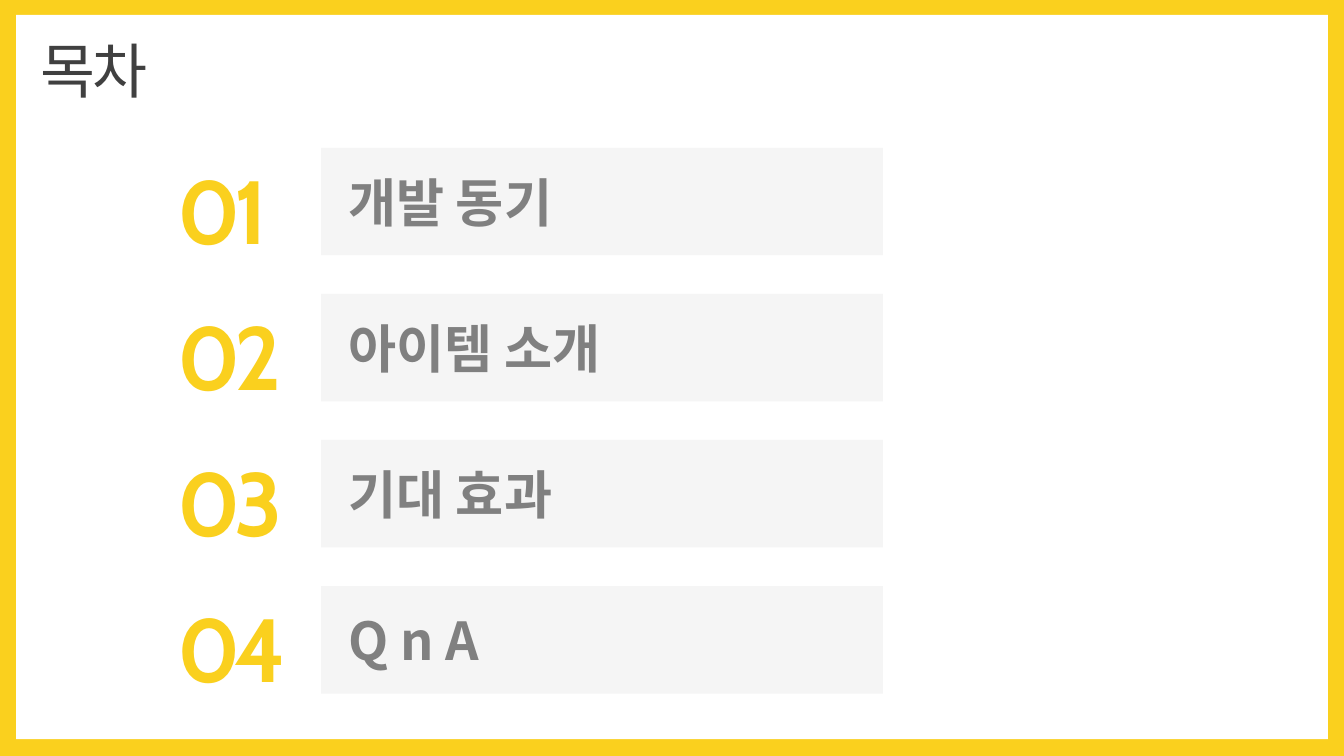
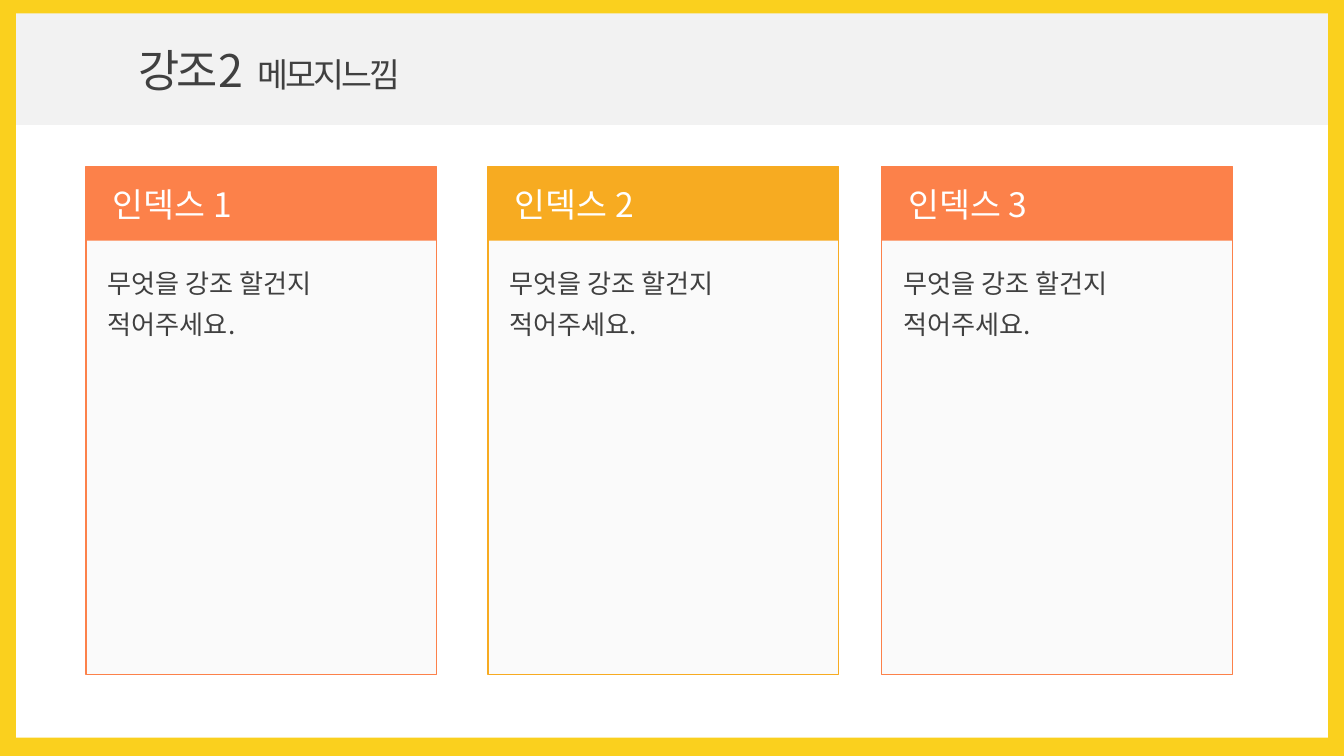
from collections import namedtuple

from pptx import Presentation, util as u
from pptx.dml.color import RGBColor
from pptx.enum import shapes, text
from pptx.oxml import ns
from lxml import etree

Box = namedtuple("Box", "left top width height")

YELLOW, ORANGE, AMBER = "FAD01E", "FC814A", "F7AB21"
WHITE, CARD, ROW, BAND = "FFFFFF", "FAFAFA", "F5F5F5", "F2F2F2"
DARK, GREY = "404040", "808080"
KOREAN, NUMERAL = "Noto Sans CJK KR", "Cabin"

TITLE = dict(size=32, color=DARK, spacing=-1.5)
NUMBER = dict(size=48, color=YELLOW, name=NUMERAL, bold=True, spacing=-3)
TOPIC = dict(size=28, color=GREY, bold=True)
HEADLINE = dict(size=24, color=DARK, spacing=-1.5)
GAP = dict(size=24, color=DARK, spacing=2.4)
SUBTITLE = dict(size=18, color=DARK, spacing=-1.5)
INDEX = dict(size=18, color=WHITE)
BODY = dict(size=14, color=DARK)

LABEL_INSETS = (2, 0.5, 1, 0.5)
DEFAULT_INSETS = (1, 0.5, 1, 0.5)

presentation = Presentation()
presentation.slide_width = u.Inches(10)
presentation.slide_height = presentation.slide_width * 9 // 16
CELL = presentation.slide_width / 100


def cells(count):
    return u.Emu(round(count * CELL))


def rgb(value):
    return RGBColor.from_string(value)


def set_values(target, values):
    for key, value in values.items():
        setattr(target, key, value)


def add_run(paragraph, content, size, color, name=KOREAN, bold=False, spacing=0):
    run = paragraph.add_run()
    run.text = content
    set_values(run.font, dict(size=u.Pt(size), name=name, bold=bold))
    run.font.color.rgb = rgb(color)
    properties = run.font._element
    if spacing:
        properties.set("spc", str(round(spacing * 100)))
    etree.SubElement(properties, ns.qn("a:ea")).set("typeface", name)


def write(shape, paragraphs, insets=DEFAULT_INSETS, anchor="MIDDLE", line_spacing=None):
    frame = shape.text_frame
    sides = ("margin_left", "margin_top", "margin_right", "margin_bottom")
    set_values(frame, dict(zip(sides, map(cells, insets))))
    set_values(frame, dict(word_wrap=True, vertical_anchor=text.MSO_ANCHOR[anchor]))
    for index, runs in enumerate(paragraphs):
        paragraph = frame.add_paragraph() if index else frame.paragraphs[0]
        set_values(paragraph, dict(alignment=text.PP_ALIGN.LEFT, line_spacing=line_spacing))
        for content, style in runs:
            add_run(paragraph, content, **style)


def add_panel(parent, box, fill, line=None):
    panel = parent.shapes.add_shape(shapes.MSO_SHAPE.RECTANGLE, *map(cells, box))
    panel.shadow.inherit = False
    panel.fill.solid()
    panel.fill.fore_color.rgb = rgb(fill)
    if line:
        panel.line.color.rgb = rgb(line)
        panel.line.width = u.Pt(0.75)
    else:
        panel.line.fill.background()
    return panel


def add_text_box(parent, box):
    return parent.shapes.add_textbox(*map(cells, box))


def add_framed_slide(sheet):
    slide = presentation.slides.add_slide(presentation.slide_layouts[6])
    slide.background.fill.solid()
    slide.background.fill.fore_color.rgb = rgb(YELLOW)
    add_panel(slide, sheet, WHITE)
    return slide


def add_agenda_row(slide, box, number, topic):
    group = slide.shapes.add_group_shape()
    number_box = add_text_box(group, Box(box.left - 11.7, box.top - 1.57, 13.4, 9.8))
    write(number_box, [[(number, NUMBER)]], anchor="TOP", line_spacing=1.2)
    write(add_panel(group, box, ROW), [[(topic, TOPIC)]], LABEL_INSETS)


def add_title_band(slide, box, headline, subtitle):
    runs = [(headline, HEADLINE), (" ", GAP), (subtitle, SUBTITLE)]
    write(add_panel(slide, box, BAND), [runs], (9.1, 0.5, 1, 0.5))


def add_memo_card(slide, box, color, label, lines):
    group = slide.shapes.add_group_shape()
    card = add_panel(group, box, CARD, color)
    write(card, [[(line, BODY)] for line in lines], (1.6, 6.8, 1.6, 1.6), "TOP", 1.3)
    header = add_panel(group, box._replace(height=5.5), color)
    write(header, [[(label, INDEX)]], LABEL_INSETS)


def build_agenda_slide(title, topics):
    sheet = Box(1.2, 1.1, 97.6, 53.9)
    slide = add_framed_slide(sheet)
    title_box = add_text_box(slide, sheet._replace(width=22, height=8.1))
    write(title_box, [[(title, TITLE)]], (1.8, 0.5, 1, 0.5))
    first, pitch = Box(23.9, 11, 41.8, 8), 10.87
    for index, topic in enumerate(topics):
        row = first._replace(top=first.top + index * pitch)
        add_agenda_row(slide, row, f"{index + 1:02}", topic)


def build_memo_slide(headline, subtitle, lines):
    slide = add_framed_slide(Box(1.2, 9.2, 97.6, 45.7))
    add_title_band(slide, Box(1.2, 1, 97.6, 8.3), headline, subtitle)
    columns = zip((6.4, 36.3, 65.6), (ORANGE, AMBER, ORANGE))
    for index, (left, color) in enumerate(columns, 1):
        add_memo_card(slide, Box(left, 12.4, 26.1, 37.8), color, f"인덱스 {index}", lines)


build_agenda_slide("목차", ["개발 동기", "아이템 소개", "기대 효과", "Q n A"])
build_memo_slide("강조2", "메모지느낌", ["무엇을 강조 할건지", "적어주세요."])
presentation.save("out.pptx")
